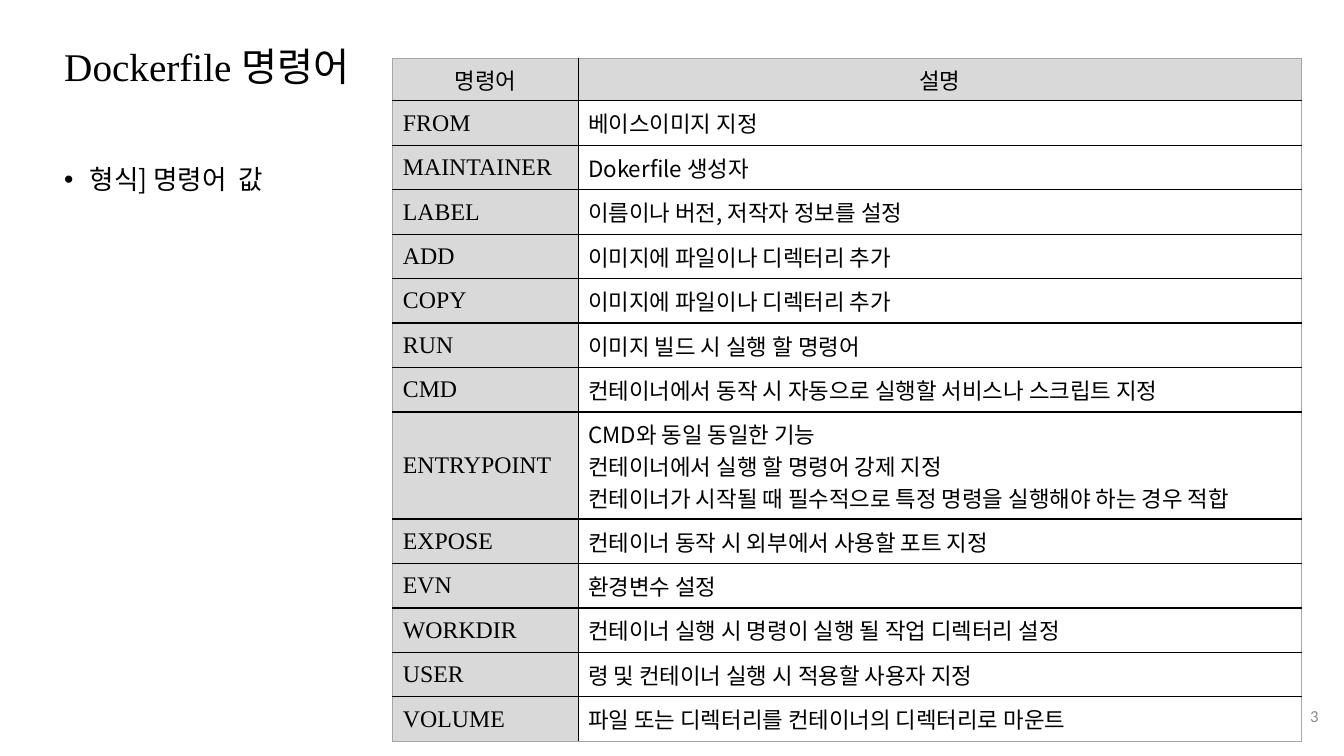
from dataclasses import dataclass

from lxml.etree import SubElement
from pptx import Presentation
from pptx.dml.color import RGBColor
from pptx.enum.text import MSO_ANCHOR, PP_ALIGN
from pptx.oxml.ns import qn
from pptx.util import Cm, Pt


@dataclass(frozen=True)
class Theme:
    black: str = "000000"
    head_fill: str = "D9D9D9"
    frame: str = "A6A6A6"
    muted: str = "8C8C8C"
    latin: str = "Times New Roman"
    korean: str = "Noto Sans CJK KR"
    number: str = "Calibri"
    title_size: int = 28
    body_size: int = 19
    keyword_size: int = 17
    cell_size: int = 16
    number_size: int = 12


T = Theme()

COMMANDS = [
    ("FROM", "베이스이미지 지정"),
    ("MAINTAINER", "Dokerfile 생성자"),
    ("LABEL", "이름이나 버전, 저작자 정보를 설정"),
    ("ADD", "이미지에 파일이나 디렉터리 추가"),
    ("COPY", "이미지에 파일이나 디렉터리 추가"),
    ("RUN", "이미지 빌드 시 실행 할 명령어"),
    ("CMD", "컨테이너에서 동작 시 자동으로 실행할 서비스나 스크립트 지정"),
    ("ENTRYPOINT", "CMD와 동일 동일한 기능\n"
                   "컨테이너에서 실행 할 명령어 강제 지정\n"
                   "컨테이너가 시작될 때 필수적으로 특정 명령을 실행해야 하는 경우 적합"),
    ("EXPOSE", "컨테이너 동작 시 외부에서 사용할 포트 지정"),
    ("EVN", "환경변수 설정"),
    ("WORKDIR", "컨테이너 실행 시 명령이 실행 될 작업 디렉터리 설정"),
    ("USER", "령 및 컨테이너 실행 시 적용할 사용자 지정"),
    ("VOLUME", "파일 또는 디렉터리를 컨테이너의 디렉터리로 마운트"),
]


def add_run(p, text, font, size, color=T.black):
    r = p.add_run()
    r.text = text
    for name, value in {"name": font, "size": Pt(size)}.items():
        setattr(r.font, name, value)
    r.font.color.rgb = RGBColor.from_string(color)
    SubElement(r.font._element, qn("a:ea"), typeface=font)


def add_text(s, box, anchor, **paragraph_format):
    """Adds a wrapped text box and returns its first paragraph."""
    tf = s.shapes.add_textbox(*map(Cm, box)).text_frame
    tf.word_wrap = True
    tf.vertical_anchor = anchor
    p = tf.paragraphs[0]
    for name, value in paragraph_format.items():
        setattr(p, name, value)
    return p


def add_title(s, box):
    p = add_text(s, box, MSO_ANCHOR.MIDDLE, line_spacing=0.9)
    add_run(p, "Dockerfile ", T.latin, T.title_size)
    add_run(p, "명령어", T.korean, T.title_size)


def add_syntax(s, box):
    p = add_text(s, box, MSO_ANCHOR.TOP, line_spacing=1.5, space_before=Pt(10))
    add_run(p, "형식] 명령어  값", T.korean, T.body_size)
    # Hanging bullet
    pPr = p._p.get_or_add_pPr()
    pPr.set("marL", str(Cm(0.64)))
    pPr.set("indent", str(-Cm(0.64)))
    SubElement(pPr, qn("a:buFont"), typeface="Arial")
    SubElement(pPr, qn("a:buChar"), char="•")


def add_number(s, box):
    p = add_text(s, box, MSO_ANCHOR.MIDDLE, alignment=PP_ALIGN.RIGHT)
    add_run(p, "3", T.number, T.number_size, T.muted)


def set_borders(cell, colors):
    tcPr = cell._tc.get_or_add_tcPr()
    for i, (side, color) in enumerate(colors.items()):
        ln = SubElement(tcPr, qn(f"a:ln{side}"), w=str(Pt(1)))
        SubElement(SubElement(ln, qn("a:solidFill")), qn("a:srgbClr"), val=color)
        tcPr.insert(i, ln)  # borders come before the fill


def fill_cell(cell, text, font, size, shaded, align):
    cell.vertical_anchor = MSO_ANCHOR.MIDDLE
    if shaded:
        cell.fill.solid()
        cell.fill.fore_color.rgb = RGBColor.from_string(T.head_fill)
    else:
        cell.fill.background()
    tf = cell.text_frame
    for i, line in enumerate(text.split("\n")):
        p = tf.add_paragraph() if i else tf.paragraphs[0]
        p.alignment = align
        add_run(p, line, font, size)


def add_commands(s, box, keyword_width=4.67, head_height=1.07, row_height=1.12, tall_height=2.7):
    left, top, width, height = box
    rows = [("명령어", "설명"), *COMMANDS]
    table = s.shapes.add_table(len(rows), 2, *map(Cm, (left, top, width, height))).table
    table.first_row = table.horz_banding = False
    for column, w in zip(table.columns, (keyword_width, width - keyword_width)):
        column.width = Cm(w)
    last = len(rows) - 1
    for i, row in enumerate(rows):
        head = i == 0
        tall = "\n" in row[1]
        table.rows[i].height = Cm(head_height if head else tall_height if tall else row_height)
        for j, text in enumerate(row):
            keyword = j == 0 and not head
            cell = table.cell(i, j)
            fill_cell(cell, text,
                      T.latin if keyword else T.korean,
                      T.keyword_size if keyword else T.cell_size,
                      head or keyword,
                      PP_ALIGN.CENTER if head else PP_ALIGN.LEFT)
            # Grey outer frame, black inner grid
            outer = {"L": j == 0, "R": j == 1, "T": head, "B": i == last}
            set_borders(cell, {k: T.frame if edge else T.black for k, edge in outer.items()})


def main():
    prs = Presentation()
    prs.slide_width, prs.slide_height = Cm(33.87), Cm(19.05)
    s = prs.slides.add_slide(prs.slide_layouts[6])
    add_title(s, (1.37, 0.84, 21.9, 1.8))
    add_syntax(s, (1.37, 3.58, 20.45, 6.22))
    add_commands(s, (9.9, 1.47, 22.9, 17.2))
    add_number(s, (25.86, 17.53, 7.62, 1.02))
    prs.save("out.pptx")


if __name__ == "__main__":
    main()
